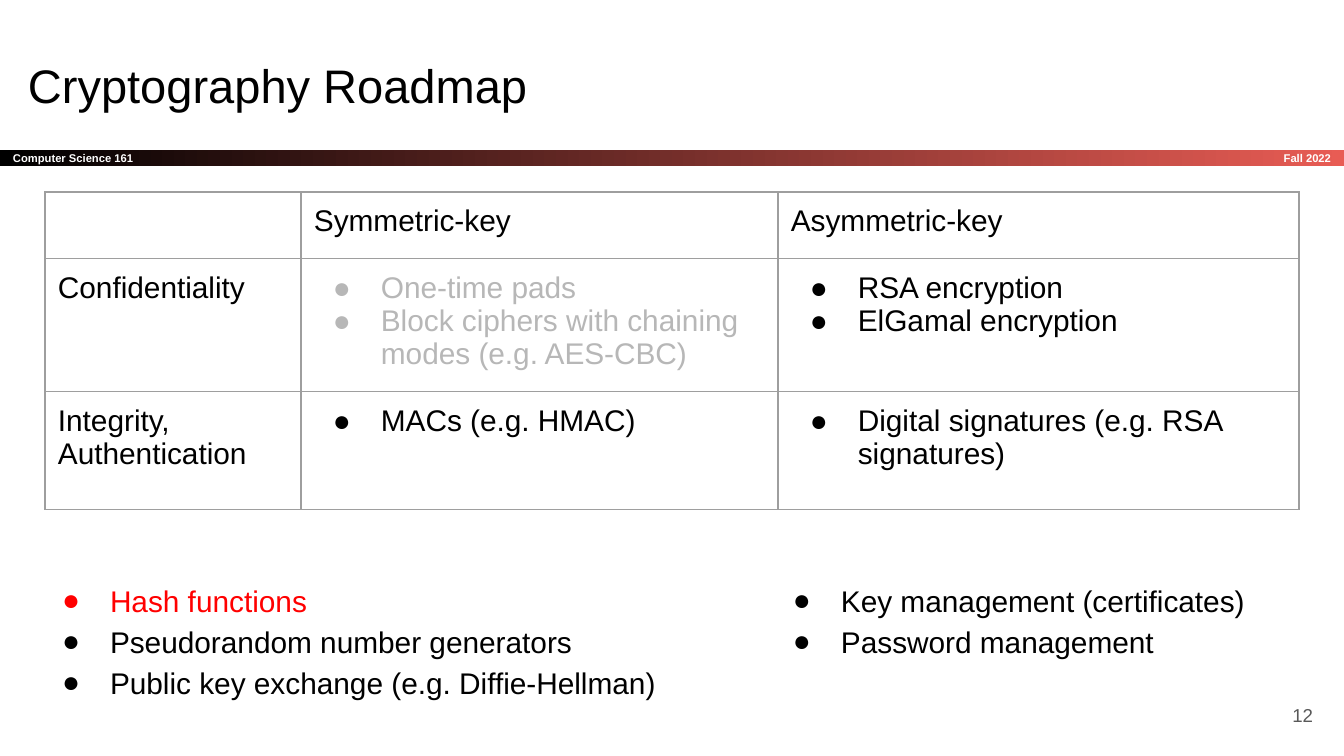
from lxml import etree
from pptx import Presentation
from pptx import util as u
from pptx.dml.color import RGBColor
from pptx.enum import shapes, text
from pptx.oxml.ns import qn

PX = 914400 / 134.4
COLOURS = {
    "black": "000000", "white": "FFFFFF", "coral": "E85C54", "red": "FF0000",
    "done": "B7B7B7", "border": "9E9E9E", "number": "595959",
}
INSET = round(13 * PX)


def px(*lengths):
    return [u.Emu(round(length * PX)) for length in lengths]


def write(frame, lines, size=16, bullets=False, spacing=None, bold=False,
          align=text.PP_ALIGN.LEFT, anchor=text.MSO_ANCHOR.TOP):
    frame.word_wrap = True
    frame.vertical_anchor = anchor
    frame.text = "\n".join(line for line, _ in lines)
    for paragraph, (_, colour) in zip(frame.paragraphs, lines):
        paragraph.alignment = align
        if spacing:
            paragraph.line_spacing = spacing
        if bullets:
            props = paragraph._p.get_or_add_pPr()
            props.set("marL", str(px(67)[0]))
            props.set("indent", str(px(-48)[0]))
            tint = etree.SubElement(props, qn("a:buClr"))
            etree.SubElement(tint, qn("a:srgbClr"), val=COLOURS[colour])
            etree.SubElement(props, qn("a:buFont"), typeface="Arial")
            etree.SubElement(props, qn("a:buChar"), char="●")
        for run in paragraph.runs:
            run.font.name = "Arial"
            run.font.size = u.Pt(size)
            run.font.bold = bold
            run.font.color.rgb = RGBColor.from_string(COLOURS[colour])
        for line_break in paragraph._p.findall(qn("a:br")):
            etree.SubElement(line_break, qn("a:rPr"), sz=str(size * 100))


deck = Presentation()
deck.slide_width, deck.slide_height = px(1344, 756)
slide = deck.slides.add_slide(deck.slide_layouts[6])
middle, right = text.MSO_ANCHOR.MIDDLE, text.PP_ALIGN.RIGHT

banner = slide.shapes.add_shape(shapes.MSO_SHAPE.RECTANGLE, *px(0, 150, 1344, 16))
banner.shadow.inherit = False
banner.line.fill.background()
banner.fill.gradient()
banner.fill.gradient_angle = 0
for stop, position, colour in zip(banner.fill.gradient_stops, (0, 1), ("black", "coral")):
    stop.position = position
    stop.color.rgb = RGBColor.from_string(COLOURS[colour])
course = banner.text_frame
course.margin_left = course.margin_right = INSET
course.margin_top = course.margin_bottom = 0
write(course, [("Computer Science 161", "white")], size=6, bold=True, anchor=middle)

labels = [
    ((1121, 150, 223, 16), 0, [("Fall 2022", "white")],
     dict(size=6, bold=True, align=right, anchor=middle)),
    ((15, 43, 1253, 85), INSET, [("Cryptography Roadmap", "black")], dict(size=25.2)),
    ((30, 564, 642, 172), INSET,
     [("Hash functions", "red"), ("Pseudorandom number generators", "black"),
      ("Public key exchange (e.g. Diffie-Hellman)", "black")],
     dict(bullets=True, spacing=1.15)),
    ((761, 564, 507, 105), INSET,
     [("Key management (certificates)", "black"), ("Password management", "black")],
     dict(bullets=True, spacing=1.15)),
    ((1246, 686, 80, 58), INSET, [("12", "number")],
     dict(size=10, align=right, anchor=middle)),
]
for bounds, vertical_inset, lines, style in labels:
    frame = slide.shapes.add_textbox(*px(*bounds)).text_frame
    frame.margin_left = frame.margin_right = INSET
    frame.margin_top = frame.margin_bottom = vertical_inset
    write(frame, lines, **style)

topics = [
    [[], [("Symmetric-key", "black")], [("Asymmetric-key", "black")]],
    [[("Confidentiality", "black")],
     [("One-time pads", "done"),
      ("Block ciphers with chaining modes (e.g. AES-CBC)", "done")],
     [("RSA encryption", "black"), ("ElGamal encryption", "black")]],
    [[("Integrity,\vAuthentication", "black")],
     [("MACs (e.g. HMAC)", "black")],
     [("Digital signatures (e.g. RSA signatures)", "black")]],
]
widths, heights = (256, 477, 521), (65, 126, 118)
roadmap = slide.shapes.add_table(3, 3, *px(45, 192, sum(widths), sum(heights))).table
roadmap.first_row = roadmap.horz_banding = False
for column, width in zip(roadmap.columns, px(*widths)):
    column.width = width
for row, height in zip(roadmap.rows, px(*heights)):
    row.height = height
for r, row_topics in enumerate(topics):
    for c, lines in enumerate(row_topics):
        cell = roadmap.cell(r, c)
        cell.margin_left = cell.margin_right = INSET
        cell.margin_top = cell.margin_bottom = INSET
        cell.fill.background()
        if lines:
            write(cell.text_frame, lines, bullets=r > 0 and c > 0)
        cell_props = cell._tc.get_or_add_tcPr()
        for place, side in enumerate(("lnL", "lnR", "lnT", "lnB")):
            edge = etree.Element(qn("a:" + side), w=str(u.Pt(0.75)))
            fill = etree.SubElement(edge, qn("a:solidFill"))
            etree.SubElement(fill, qn("a:srgbClr"), val=COLOURS["border"])
            cell_props.insert(place, edge)

deck.save("out.pptx")
